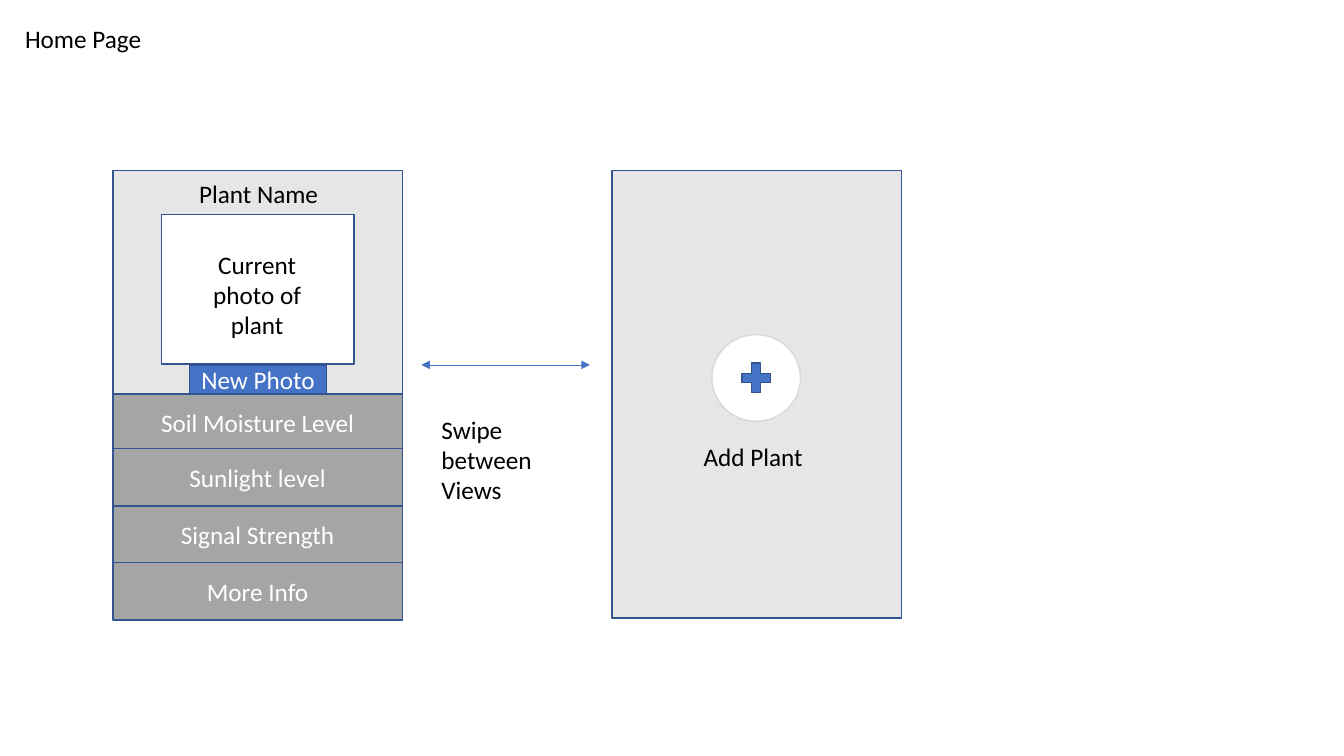
from dataclasses import dataclass

from lxml import etree
from pptx import Presentation
from pptx import util as u
from pptx.dml.color import RGBColor
from pptx.enum import shapes, text
from pptx.oxml.ns import qn


@dataclass(frozen=True)
class Theme:
    font: str = "Calibri"
    size: int = 18
    black: str = "000000"
    white: str = "FFFFFF"
    screen: str = "E7E6E6"
    row: str = "A5A5A5"
    accent: str = "4472C4"
    outline: str = "325491"
    button_outline: str = "D9D9D9"
    line_width: float = 1
    arrow_width: float = 0.5


theme = Theme()
CENTER = text.PP_ALIGN.CENTER
LEFT = text.PP_ALIGN.LEFT
RECTANGLE = shapes.MSO_SHAPE.RECTANGLE


def write(shape, words, color, align):
    frame = shape.text_frame
    frame.word_wrap = True
    paragraph = frame.paragraphs[0]
    paragraph.alignment = align
    run = paragraph.add_run()
    run.text = words
    run.font.name = theme.font
    run.font.size = u.Pt(theme.size)
    run.font.color.rgb = RGBColor.from_string(color)


def add_box(parent, kind, box, fill, outline=theme.outline, words=None):
    shape = parent.add_shape(kind, *map(u.Inches, box))
    shape.shadow.inherit = False
    shape.fill.solid()
    shape.fill.fore_color.rgb = RGBColor.from_string(fill)
    shape.line.color.rgb = RGBColor.from_string(outline)
    shape.line.width = u.Pt(theme.line_width)
    if words:
        shape.text_frame.vertical_anchor = text.MSO_ANCHOR.MIDDLE
        write(shape, words, theme.white, CENTER)
    return shape


presentation = Presentation()
presentation.slide_width = u.Inches(13.33)
presentation.slide_height = u.Inches(7.5)
slide = presentation.slides.add_slide(presentation.slide_layouts[6])

# Two phone screens
screen_left, screen_top, screen_width, screen_height = 1.12, 1.69, 2.87, 4.44
for left in (screen_left, 6.07):
    add_box(slide.shapes, RECTANGLE,
            (left, screen_top, screen_width, screen_height), theme.screen)

# Plant photo frame
photo = slide.shapes.add_group_shape()
add_box(photo.shapes, RECTANGLE, (1.6, 2.13, 1.91, 1.48), theme.white)

# Information rows
rows = (
    ("Soil Moisture Level", 3.91),
    ("Sunlight level", 4.45),
    ("Signal Strength", 5.02),
    ("More Info", 5.58),
)
for words, top in rows:
    add_box(slide.shapes, RECTANGLE, (screen_left, top, screen_width, 0.57),
            theme.row, words=words)

# Add button
button = slide.shapes.add_group_shape()
add_box(button.shapes, shapes.MSO_SHAPE.OVAL, (7.06, 3.32, 0.88, 0.86),
        theme.white, theme.button_outline)
add_box(button.shapes, shapes.MSO_SHAPE.MATH_PLUS, (7.31, 3.55, 0.38, 0.4),
        theme.accent)

# New photo button
add_box(slide.shapes, RECTANGLE, (1.88, 3.62, 1.36, 0.29), theme.accent,
        words="New Photo")

# Swipe arrow
arrow = slide.shapes.add_connector(
    shapes.MSO_CONNECTOR.STRAIGHT,
    u.Inches(4.18), u.Inches(3.62), u.Inches(5.85), u.Inches(3.62))
arrow.line.color.rgb = RGBColor.from_string(theme.accent)
arrow.line.width = u.Pt(theme.arrow_width)
for end in ("a:headEnd", "a:tailEnd"):
    etree.SubElement(arrow.line._get_or_add_ln(), qn(end), type="triangle")
etree.SubElement(arrow._element.spPr, qn("a:effectLst"))

# Labels
labels = (
    (photo.shapes, "Current photo of plant", (1.79, 2.42, 1.52, 1.01), CENTER),
    (slide.shapes, "Home Page", (0.15, 0.18, 2.87, 0.4), LEFT),
    (slide.shapes, "Plant Name", (1.31, 1.72, 2.51, 0.4), CENTER),
    (slide.shapes, "Swipe between Views", (4.28, 4.06, 1.57, 1.01), LEFT),
    (slide.shapes, "Add Plant", (6.88, 4.33, 1.24, 0.4), LEFT),
)
for parent, words, box, align in labels:
    label = parent.add_textbox(*map(u.Inches, box))
    label.text_frame.auto_size = text.MSO_AUTO_SIZE.SHAPE_TO_FIT_TEXT
    write(label, words, theme.black, align)

presentation.save("out.pptx")
